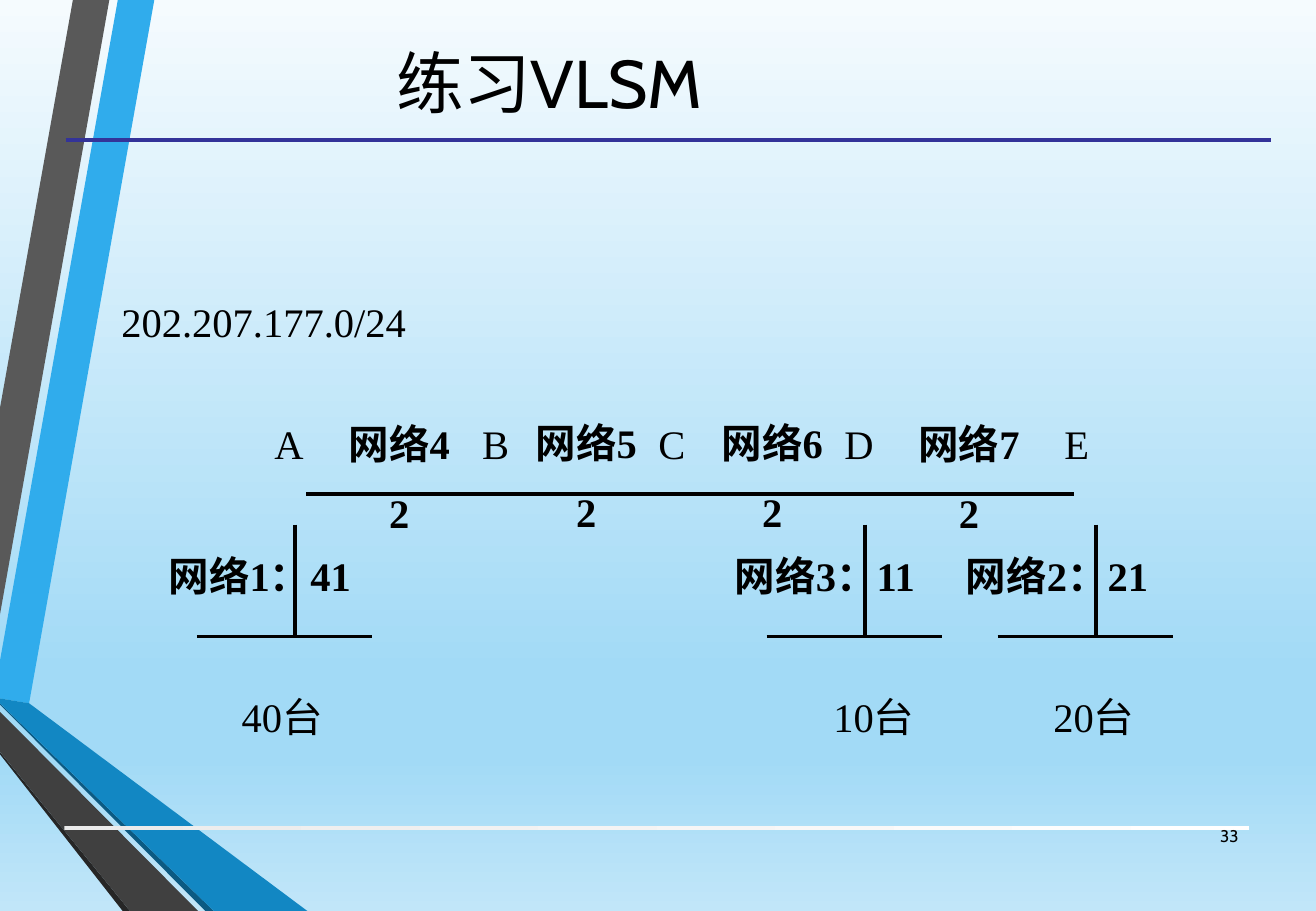
from copy import deepcopy

from pptx import Presentation
from pptx.dml.color import RGBColor
from pptx.enum.shapes import MSO_CONNECTOR, MSO_SHAPE
from pptx.enum.text import MSO_ANCHOR, PP_ALIGN
from pptx.oxml.ns import qn
from pptx.util import Inches, Pt
from lxml import etree

LEFT, CENTER, RIGHT = PP_ALIGN.LEFT, PP_ALIGN.CENTER, PP_ALIGN.RIGHT
TOP, MIDDLE = MSO_ANCHOR.TOP, MSO_ANCHOR.MIDDLE
STRAIGHT, RECTANGLE = MSO_CONNECTOR.STRAIGHT, MSO_SHAPE.RECTANGLE
SERIF, SANS = "Times New Roman", "Cabin"

# Content
TITLE = "练习VLSM"
ADDRESS = "202.207.177.0/24"
PAGE_NUMBER = "33"
COLORS = {"black": "000000", "rule": "333399", "blue": "30ACEC", "grey": "595959",
          "dark edge": "262626", "blue edge": "0C5A82", "deep blue": "1287C3",
          "dark grey": "404040"}
SKY = [(0, "F5FBFE"), (74, "A2DAF6"), (83, "A2DAF6"), (100, "C1E6F9")]
FOOTER_BAR = [(0, "EBEBEB"), (100, "FFFFFF")]
RIBBONS = [
    ("blue", [(0, 5.44), (0, 5.75), (0.24, 5.79), (1.27, 0), (0.97, 0)]),
    ("grey", [(0.9, 0), (0.6, 0), (0, 3.36), (0, 5.06)]),
    ("dark edge", [(0, 6.19), (0, 6.21), (1.01, 7.5), (1.07, 7.5)]),
    ("blue edge", [(0, 5.79), (0, 5.8), (1.69, 7.5), (1.76, 7.5)]),
    ("deep blue", [(0, 5.79), (1.76, 7.5), (2.53, 7.5), (0.24, 5.79), (0, 5.75)]),
    ("dark grey", [(0, 6.19), (1.07, 7.5), (1.63, 7.5), (0, 5.86)]),
]
ROUTERS = [("A", 2.16), ("B", 3.87), ("C", 5.32), ("D", 6.85), ("E", 8.66)]
# Local networks: label, label left, stem x, host count, host count left
LOCAL_NETWORKS = [("网络1：41", 1.29, 2.43, "40台", 1.89),
                  ("网络2：21", 7.85, 9.02, "20台", 8.57),
                  ("网络3：11", 5.95, 7.12, "10台", 6.76)]
# Links between routers: label, left, top
LINKS = [("网络4", 2.61, 3.4), ("网络5", 4.15, 3.39),
         ("网络6", 5.68, 3.39), ("网络7", 7.3, 3.4)]
LINK_ADDRESSES = "2"

deck = Presentation()
deck.slide_width, deck.slide_height = Inches(10.83), Inches(7.5)
page = deck.slides.add_slide(deck.slide_layouts[6])


def color(name):
    return RGBColor.from_string(COLORS[name])


def paint_gradient(owner, fill, stops, angle):
    fill.gradient()
    fill.gradient_angle = angle
    stop_list = next(owner.element.iter(qn("a:gsLst")))
    template = deepcopy(stop_list[0])
    for old in list(stop_list):
        stop_list.remove(old)
    for _ in stops:
        stop_list.append(deepcopy(template))
    for stop, (percent, value) in zip(fill.gradient_stops, stops):
        stop.position = percent / 100
        stop.color.rgb = RGBColor.from_string(value)


def add_line(x1, y1, x2, y2, name="black"):
    line = page.shapes.add_connector(STRAIGHT, Inches(x1), Inches(y1), Inches(x2), Inches(y2))
    line.line.color.rgb = color(name)
    line.line.width = Pt(2.25)
    etree.SubElement(line.element.spPr, qn("a:effectLst"))


def add_text(lines, left, top, width, height, size=24, font=SERIF, bold=False,
             align=LEFT, anchor=TOP):
    box = page.shapes.add_textbox(Inches(left), Inches(top), Inches(width), Inches(height))
    frame = box.text_frame
    frame.word_wrap = True
    frame.vertical_anchor = anchor
    frame.text = "\n".join(lines)
    for index, para in enumerate(frame.paragraphs):
        para.alignment = align
        if index:
            para.space_before = Pt(size / 2)
        for span in para.runs:
            span.font.size = Pt(size)
            span.font.name = font
            span.font.bold = bold
            span.font.color.rgb = color("black")


# Background and ribbons
paint_gradient(page, page.background.fill, SKY, 270)
for name, points in RIBBONS:
    corners = [(Inches(x), Inches(y)) for x, y in points]
    builder = page.shapes.build_freeform(*corners[0])
    builder.add_line_segments(corners[1:], close=True)
    ribbon = builder.convert_to_shape()
    ribbon.fill.solid()
    ribbon.fill.fore_color.rgb = color(name)
    ribbon.line.fill.background()
    ribbon.shadow.inherit = False

# Footer bar, title and title rule
bar = page.shapes.add_shape(RECTANGLE, Inches(0.53), Inches(6.8), Inches(9.75), Inches(0.03))
paint_gradient(bar, bar.fill, FOOTER_BAR, 0)
bar.line.fill.background()
bar.shadow.inherit = False
add_line(0.54, 1.15, 10.46, 1.15, "rule")
add_text([TITLE], 0.43, 0.05, 8.18, 1.24, 40, SANS, align=CENTER, anchor=MIDDLE)

# Backbone with its routers
add_line(2.52, 4.07, 8.84, 4.07)
for router, left in ROUTERS:
    add_text([router], left, 3.4, 0.72, 0.5)

# Local networks
add_text([ADDRESS], 0.9, 2.4, 3.07, 0.5)
for label, label_left, stem, hosts, hosts_left in LOCAL_NETWORKS:
    add_line(stem - 0.81, 5.24, stem + 0.63, 5.24)
    add_line(stem, 4.32, stem, 5.24)
    add_text([hosts], hosts_left, 5.65, 1.62, 0.5)
    add_text([label], label_left, 4.49, 2.08, 0.5, bold=True)

# Links between routers
for label, left, top in LINKS:
    add_text([label, LINK_ADDRESSES], left, top, 1.35, 1.11, bold=True, align=CENTER)

# Page number
add_text([PAGE_NUMBER], 9.78, 6.68, 0.51, 0.4, 10, SANS, align=RIGHT, anchor=MIDDLE)

deck.save("out.pptx")
